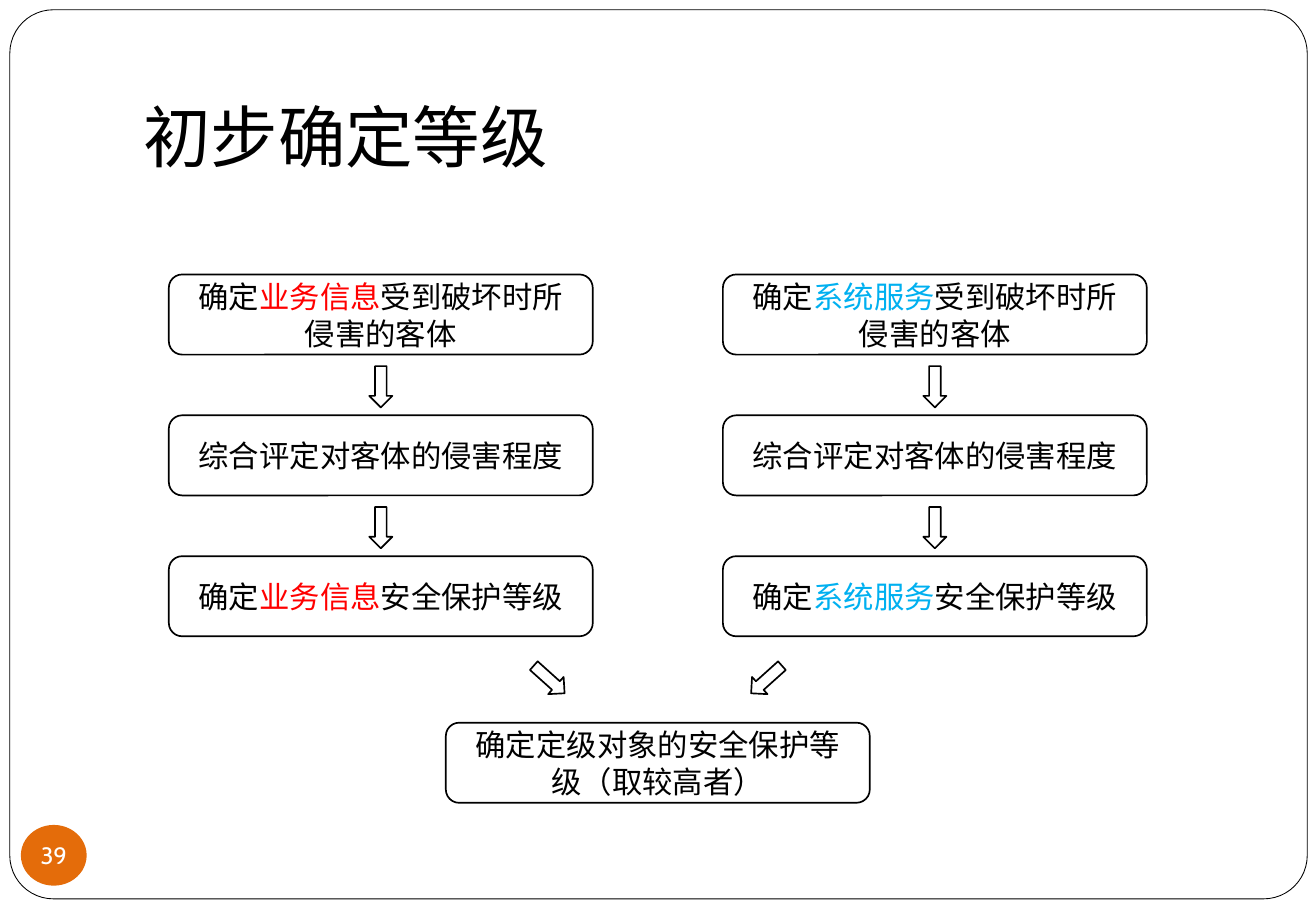
import pptx
import pptx.dml.color
import pptx.enum.shapes
import pptx.enum.text
import pptx.oxml
import pptx.oxml.ns
import pptx.util

Pt = pptx.util.Pt
SHAPES = pptx.enum.shapes.MSO_SHAPE
ALIGN = pptx.enum.text.PP_ALIGN
ANCHOR = pptx.enum.text.MSO_ANCHOR


class Theme:
    black, white, orange = "000000", "FFFFFF", "E46C0A"
    red, blue = "FF0000", "00B0F0"
    title_size, body_size, number_size = 40, 18, 14
    title_font, body_font, number_font = "Comic Neue", "Noto Sans CJK SC", "Cabin"
    body_leading = 21.9


class SlideBuilder:
    def __init__(self, slide, theme):
        self.slide = slide
        self.theme = theme

    def color(self, value):
        return pptx.dml.color.RGBColor.from_string(value)

    def shape(self, kind, left, top, width, height, fill, line_width=None):
        shape = self.slide.shapes.add_shape(
            kind, Pt(left), Pt(top), Pt(width), Pt(height))
        shape.shadow.inherit = False
        shape.fill.solid()
        shape.fill.fore_color.rgb = self.color(fill)
        if line_width is None:
            shape.line.fill.background()
        else:
            shape.line.color.rgb = self.color(self.theme.black)
            shape.line.width = Pt(line_width)
        return shape

    def text(self, shape, runs, size, font, align, anchor):
        frame = shape.text_frame
        frame.word_wrap = True
        frame.vertical_anchor = anchor
        paragraph = frame.paragraphs[0]
        paragraph.alignment = align
        for words, color in runs:
            run = paragraph.add_run()
            run.text = words
            run.font.size = Pt(size)
            run.font.name = font
            run.font.color.rgb = self.color(color)
            # Chinese text takes its font from the East Asian slot
            east_asian = pptx.oxml.parse_xml(
                f'<a:ea {pptx.oxml.ns.nsdecls("a")} typeface="{font}"/>')
            latin = run.font._element.find(pptx.oxml.ns.qn("a:latin"))
            latin.addnext(east_asian)
        return paragraph

    def frame(self):
        border = self.shape(SHAPES.ROUNDED_RECTANGLE, 5.8, 5.8, 769, 527,
                            self.theme.white, 0.5)
        border.adjustments[0] = 0.049

    def title(self, words):
        box = self.slide.shapes.add_textbox(Pt(77.8), Pt(21.6), Pt(663), Pt(90))
        self.text(box, [(words, self.theme.black)], self.theme.title_size,
                  self.theme.title_font, ALIGN.LEFT, ANCHOR.BOTTOM)
        box.text_frame.margin_bottom = Pt(7.2)

    def page_number(self, number):
        badge = self.shape(SHAPES.OVAL, 12.4, 489, 39, 36, self.theme.orange)
        self.text(badge, [(number, self.theme.white)], self.theme.number_size,
                  self.theme.number_font, ALIGN.CENTER, ANCHOR.MIDDLE)
        frame = badge.text_frame
        frame.word_wrap = False
        frame.margin_left = frame.margin_right = 0
        frame.margin_top = frame.margin_bottom = 0

    def step(self, center, top, runs):
        box = self.shape(SHAPES.ROUNDED_RECTANGLE, center - STEP_WIDTH / 2, top,
                         STEP_WIDTH, STEP_HEIGHT, self.theme.white, 1)
        paragraph = self.text(box, runs, self.theme.body_size,
                              self.theme.body_font, ALIGN.CENTER, ANCHOR.MIDDLE)
        paragraph.line_spacing = Pt(self.theme.body_leading)

    def arrow(self, center, middle, angle):
        width, height = 24.5, 13.7
        arrow = self.shape(SHAPES.RIGHT_ARROW, center - width / 2,
                           middle - height / 2, width, height,
                           self.theme.white, 1)
        arrow.rotation = angle


STEP_WIDTH, STEP_HEIGHT = 251.3, 47.5
FIRST_TOP, STEP_PITCH = 162.7, 83.5
SLIDE_CENTER, COLUMN_OFFSET = 389.9, 164.2


def main():
    presentation = pptx.Presentation()
    presentation.slide_width, presentation.slide_height = Pt(780), Pt(540)
    slide = presentation.slides.add_slide(presentation.slide_layouts[6])
    theme = Theme()
    builder = SlideBuilder(slide, theme)

    # Frame, title and page number
    builder.frame()
    builder.title("初步确定等级")
    builder.page_number("39")

    # Two parallel columns of steps
    columns = [(-1, "业务信息", theme.red), (1, "系统服务", theme.blue)]
    for side, subject, accent in columns:
        center = SLIDE_CENTER + side * COLUMN_OFFSET
        start, topic = ("确定", theme.black), (subject, accent)
        steps = [
            [start, topic, ("受到破坏时所侵害的客体", theme.black)],
            [("综合评定对客体的侵害程度", theme.black)],
            [start, topic, ("安全保护等级", theme.black)],
        ]
        for index, runs in enumerate(steps):
            top = FIRST_TOP + index * STEP_PITCH
            builder.step(center, top, runs)
            if index < len(steps) - 1:
                builder.arrow(center, top + 66.6, 90)

        # Arrow towards the shared result
        builder.arrow(SLIDE_CENTER + side * 64.4, 402.8, 90 + side * 48.1)

    # Shared result
    builder.step(SLIDE_CENTER, 428.4,
                 [("确定定级对象的安全保护等级（取较高者）", theme.black)])

    presentation.save("out.pptx")


if __name__ == "__main__":
    main()
